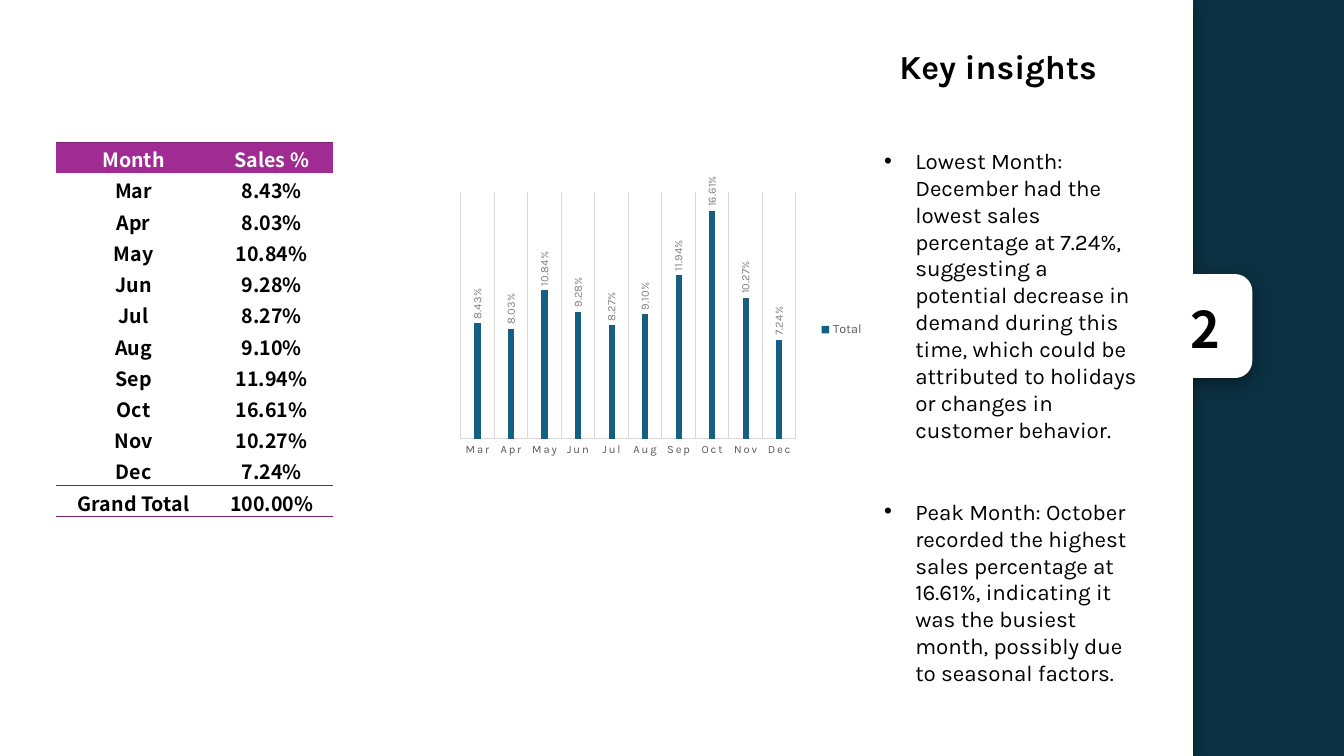
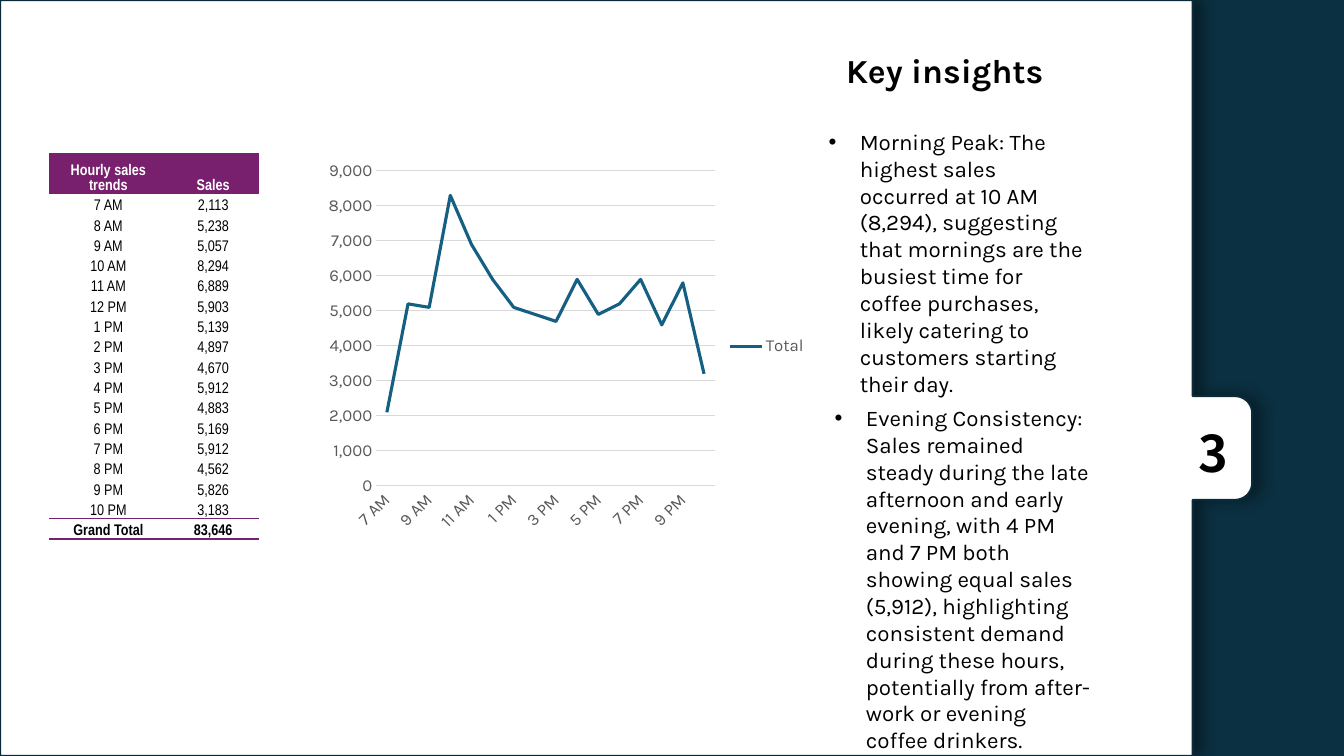
from math import cos, radians, sin

from lxml.etree import SubElement
from pptx import Presentation
from pptx.chart.data import CategoryChartData
from pptx.dml.color import RGBColor
from pptx.enum.chart import XL_CHART_TYPE as CT, XL_LABEL_POSITION as LP
from pptx.enum.chart import XL_LEGEND_POSITION as LEG, XL_TICK_MARK as TICK
from pptx.enum.text import MSO_ANCHOR as ANC, MSO_AUTO_SIZE as AUTO, PP_ALIGN as AL
from pptx.oxml import parse_xml
from pptx.oxml.ns import nsdecls, qn
from pptx.util import Inches, Pt

THEME = {
    "navy": "0B3041", "outline": "092A39", "white": "FFFFFF", "black": "000000",
    "rule": "782170", "series": "156082", "grid": "D9D9D9", "axis": "595959",
    "label": "808080", "font": "Karla", "bold_font": "Noto Sans CJK SC",
    "title": 24, "body": 16, "number": 36, "chart": 10,
}
NO_STYLE = "{2D5ABB26-0587-4C30-8999-92F81FD0307C}"
PAGE_W, PAGE_H = 13.33, 7.5
PANEL_W, TAB_W, TAB_H, TAB_R = 11.83, 0.59, 1.03, 0.17

SLIDES = [
    {
        "number": ("2", (11.71, 2.91, 0.81, 0.71)),
        "panel": {"tab_top": 2.72, "shadow_dir": 90, "outline": False},
        "title": ("Key insights", (8.36, 0.41, 3.08, 0.5)),
        "insights": [
            ("Lowest Month: December had the lowest sales percentage at 7.24%, "
             "suggesting a potential decrease in demand during this time, which could be "
             "attributed to holidays or changes in customer behavior.",
             (8.67, 1.41, 2.74, 2.79)),
            ("Peak Month: October recorded the highest sales percentage at 16.61%, "
             "indicating it was the busiest month, possibly due to seasonal factors.",
             (8.67, 4.89, 2.74, 1.99)),
        ],
        "heads": ("Month", "Sales %"),
        "data": [("Mar", 0.0843), ("Apr", 0.0803), ("May", 0.1084), ("Jun", 0.0928),
                 ("Jul", 0.0827), ("Aug", 0.091), ("Sep", 0.1194), ("Oct", 0.1661),
                 ("Nov", 0.1027), ("Dec", 0.0724)],
        "total": 1,
        "format": ".2%",
        "table": {"at": (0.56, 1.41, 2.74, 3.72), "cols": (1.53, 1.21), "head_h": 0.31,
                  "head_fill": "A02B93", "font": "Noto Sans CJK SC", "size": 14,
                  "bold_body": True},
        "chart": {"type": CT.COLUMN_CLUSTERED, "at": (3.67, 1.41, 5, 3.72),
                  "number_format": "0.00%", "digits": 4, "max": 0.18, "unit": 0.02,
                  "axis_size": 8, "legend_size": 9},
    },
    {
        "number": ("3", (11.79, 4.14, 0.81, 0.71)),
        "panel": {"tab_top": 3.93, "shadow_dir": 0, "outline": True},
        "title": ("Key insights", (7.83, 0.45, 3.08, 0.5)),
        "insights": [
            ("Morning Peak: The highest sales occurred at 10 AM (8,294), suggesting that "
             "mornings are the busiest time for coffee purchases, likely catering to "
             "customers starting their day.",
             (8.12, 1.22, 2.74, 2.52)),
            ("Evening Consistency: Sales remained steady during the late afternoon and "
             "early evening, with 4 PM and 7 PM both showing equal sales (5,912), "
             "highlighting consistent demand during these hours, potentially from "
             "after-work or evening coffee drinkers.",
             (8.18, 3.96, 2.74, 3.33)),
        ],
        "heads": ("Hourly sales trends", "Sales"),
        "data": [("7 AM", 2113), ("8 AM", 5238), ("9 AM", 5057), ("10 AM", 8294),
                 ("11 AM", 6889), ("12 PM", 5903), ("1 PM", 5139), ("2 PM", 4897),
                 ("3 PM", 4670), ("4 PM", 5912), ("5 PM", 4883), ("6 PM", 5169),
                 ("7 PM", 5912), ("8 PM", 4562), ("9 PM", 5826), ("10 PM", 3183)],
        "total": 83646,
        "format": ",",
        "table": {"at": (0.49, 1.52, 2.08, 3.83), "cols": (1.17, 0.91), "head_h": 0.4,
                  "head_fill": "78206E", "font": "Arial Narrow", "size": 11,
                  "bold_body": False},
        "chart": {"type": CT.LINE, "at": (3.16, 1.52, 4.95, 3.83),
                  "number_format": "#,##0", "digits": -2, "max": 9000, "unit": 1000,
                  "axis_size": 12, "legend_size": 12},
    },
]


def rgb(value):
    return RGBColor.from_string(value)


def box(at):
    return [Inches(v) for v in at]


def set_all(obj, **values):
    for name, value in values.items():
        setattr(obj, name, value)


def set_font(font, size, color=THEME["black"], name=THEME["font"], bold=False):
    set_all(font, size=Pt(size), name=name, bold=bold)
    font.color.rgb = rgb(color)


def set_line(line, color, width):
    line.color.rgb = rgb(color)
    line.width = Pt(width)


def add_panel(slide, tab_top, shadow_dir, outline):
    right, bottom = PANEL_W + TAB_W, tab_top + TAB_H
    corners = [(tab_top + TAB_R, -90), (bottom - TAB_R, 0)]
    arcs = [(right - TAB_R + TAB_R * cos(radians(a)), cy + TAB_R * sin(radians(a)))
            for cy, start in corners for a in range(start, start + 91, 10)]
    points = [(PANEL_W, 0), (PANEL_W, tab_top), *arcs, (PANEL_W, bottom),
              (PANEL_W, PAGE_H), (0, PAGE_H)]
    fb = slide.shapes.build_freeform(0, 0, scale=1.0)
    fb.add_line_segments([box(pt) for pt in points], close=True)
    sp = fb.convert_to_shape()
    sp.fill.solid()
    sp.fill.fore_color.rgb = rgb(THEME["white"])
    if outline:
        set_line(sp.line, THEME["outline"], 1.5)
    else:
        sp.line.fill.background()
    sp.shadow.inherit = False
    effects = sp._element.spPr.find(qn("a:effectLst"))
    effects.append(parse_xml(
        f'<a:outerShdw {nsdecls("a")} blurRad="{Pt(10)}" dist="{Pt(5)}" '
        f'dir="{shadow_dir * 60000}" algn="ctr" rotWithShape="0">'
        f'<a:srgbClr val="{THEME["black"]}"><a:alpha val="40000"/></a:srgbClr>'
        '</a:outerShdw>'))


def add_text(slide, text, at, size, align=AL.LEFT, bullet=False, **font):
    tf = slide.shapes.add_textbox(*box(at)).text_frame
    set_all(tf, word_wrap=True, auto_size=AUTO.SHAPE_TO_FIT_TEXT)
    p = tf.paragraphs[0]
    p.alignment = align
    r = p.add_run()
    r.text = text
    set_font(r.font, size, **font)
    if bullet:
        pPr = p._p.get_or_add_pPr()
        pPr.set("marL", str(Inches(0.31)))
        pPr.set("indent", str(Inches(-0.31)))
        SubElement(pPr, qn("a:buFont"), typeface="Arial")
        SubElement(pPr, qn("a:buChar"), char="•")


def add_border(cell, side, width):
    cell._tc.get_or_add_tcPr().append(parse_xml(
        f'<a:{side} {nsdecls("a")} w="{Pt(width)}"><a:solidFill>'
        f'<a:srgbClr val="{THEME["rule"]}"/></a:solidFill></a:{side}>'))


def add_sales_table(slide, rows, at, cols, head_h, head_fill, font, size, bold_body):
    last = len(rows) - 1
    table = slide.shapes.add_table(len(rows), len(cols), *box(at)).table
    set_all(table, first_row=False, horz_banding=False)
    table._tbl.tblPr.find(qn("a:tableStyleId")).text = NO_STYLE
    borders = {0: [("lnT", 1)], last - 1: [("lnB", 0.5)],
               last: [("lnT", 0.5), ("lnB", 1)]}
    for col, width in zip(table.columns, cols):
        col.width = Inches(width)
    for i, row in enumerate(rows):
        table.rows[i].height = Inches((at[3] - head_h) / last if i else head_h)
        for j, text in enumerate(row):
            cell = table.cell(i, j)
            set_all(cell, vertical_anchor=ANC.BOTTOM, margin_left=Inches(0.01),
                    margin_right=Inches(0.01), margin_top=Inches(0.01), margin_bottom=0)
            p = cell.text_frame.paragraphs[0]
            p.alignment = AL.CENTER
            r = p.add_run()
            r.text = text
            set_font(r.font, size, THEME["black" if i else "white"], font,
                     bold_body or i in (0, last))
            for side, weight in borders.get(i, []):
                add_border(cell, side, weight)
            if i:
                cell.fill.background()
            else:
                cell.fill.solid()
                cell.fill.fore_color.rgb = rgb(head_fill)


def format_columns(chart):
    plot, cat = chart.plots[0], chart.category_axis
    set_all(plot, gap_width=444, overlap=-90, has_data_labels=True)
    cat.has_major_gridlines = True
    set_line(cat.major_gridlines.format.line, THEME["grid"], 0.75)
    set_all(chart.value_axis, visible=False, has_major_gridlines=False)
    labels = plot.data_labels
    set_all(labels, show_value=True, position=LP.OUTSIDE_END,
            number_format="0.00%", number_format_is_linked=False)
    set_font(labels.font, 8, THEME["label"])
    space = chart._chartSpace
    space.xpath(".//c:dLbls/c:txPr/a:bodyPr")[0].set("rot", "-5400000")
    space.xpath(".//c:catAx/c:txPr//a:defRPr")[0].set("spc", "120")
    area = space.xpath("c:chart/c:plotArea")[0]
    for old in area.findall(qn("c:layout")):
        area.remove(old)
    layout = parse_xml(f'<c:layout {nsdecls("c")}><c:manualLayout/></c:layout>')
    settings = {"layoutTarget": "inner", "xMode": "edge", "yMode": "edge",
                "x": "0.18", "y": "0.133", "w": "0.665", "h": "0.659"}
    for tag, value in settings.items():
        SubElement(layout[0], qn(f"c:{tag}"), val=value)
    area.insert(0, layout)
    fill = plot.series[0].format.fill
    fill.solid()
    fill.fore_color.rgb = rgb(THEME["series"])


def format_line(chart, size):
    val = chart.value_axis
    val.major_tick_mark = TICK.NONE
    val.format.line.fill.background()
    set_line(val.major_gridlines.format.line, THEME["grid"], 0.75)
    set_font(val.tick_labels.font, size, THEME["axis"])
    series = chart.plots[0].series[0]
    series.smooth = False
    set_line(series.format.line, THEME["series"], 2.25)
    chart._chartSpace.xpath(".//c:catAx/c:txPr/a:bodyPr")[0].set("rot", "-60000000")


def add_sales_chart(slide, data, spec):
    cd = CategoryChartData(number_format=spec["number_format"])
    cd.categories = [name for name, _ in data]
    cd.add_series("Total", [round(value, spec["digits"]) for _, value in data])
    chart = slide.shapes.add_chart(spec["type"], *box(spec["at"]), cd).chart
    set_all(chart, has_title=False, has_legend=True)
    set_font(chart.font, THEME["chart"])
    set_all(chart.legend, position=LEG.RIGHT, include_in_layout=False)
    set_font(chart.legend.font, spec["legend_size"], THEME["axis"])
    chart.plots[0].vary_by_categories = False
    cat, val = chart.category_axis, chart.value_axis
    cat.major_tick_mark = TICK.NONE
    set_line(cat.format.line, THEME["grid"], 0.75)
    set_font(cat.tick_labels.font, spec["axis_size"], THEME["axis"])
    set_all(val, minimum_scale=0, maximum_scale=spec["max"], major_unit=spec["unit"])
    set_all(val.tick_labels, number_format=spec["number_format"],
            number_format_is_linked=False)
    if spec["type"] == CT.LINE:
        format_line(chart, spec["axis_size"])
    else:
        format_columns(chart)


def add_slide(prs, content):
    slide = prs.slides.add_slide(prs.slide_layouts[6])
    slide.background.fill.solid()
    slide.background.fill.fore_color.rgb = rgb(THEME["navy"])
    add_panel(slide, **content["panel"])
    add_text(slide, *content["title"], THEME["title"], AL.CENTER, bold=True)
    add_text(slide, *content["number"], THEME["number"],
             name=THEME["bold_font"], bold=True)
    for text, at in content["insights"]:
        add_text(slide, text, at, THEME["body"], bullet=True)
    figures = content["data"] + [("Grand Total", content["total"])]
    rows = [content["heads"]] + [(k, format(v, content["format"])) for k, v in figures]
    add_sales_table(slide, rows, **content["table"])
    add_sales_chart(slide, content["data"], content["chart"])


def main():
    prs = Presentation()
    set_all(prs, slide_width=Inches(PAGE_W), slide_height=Inches(PAGE_H))
    for content in SLIDES:
        add_slide(prs, content)
    prs.save("out.pptx")


if __name__ == "__main__":
    main()
